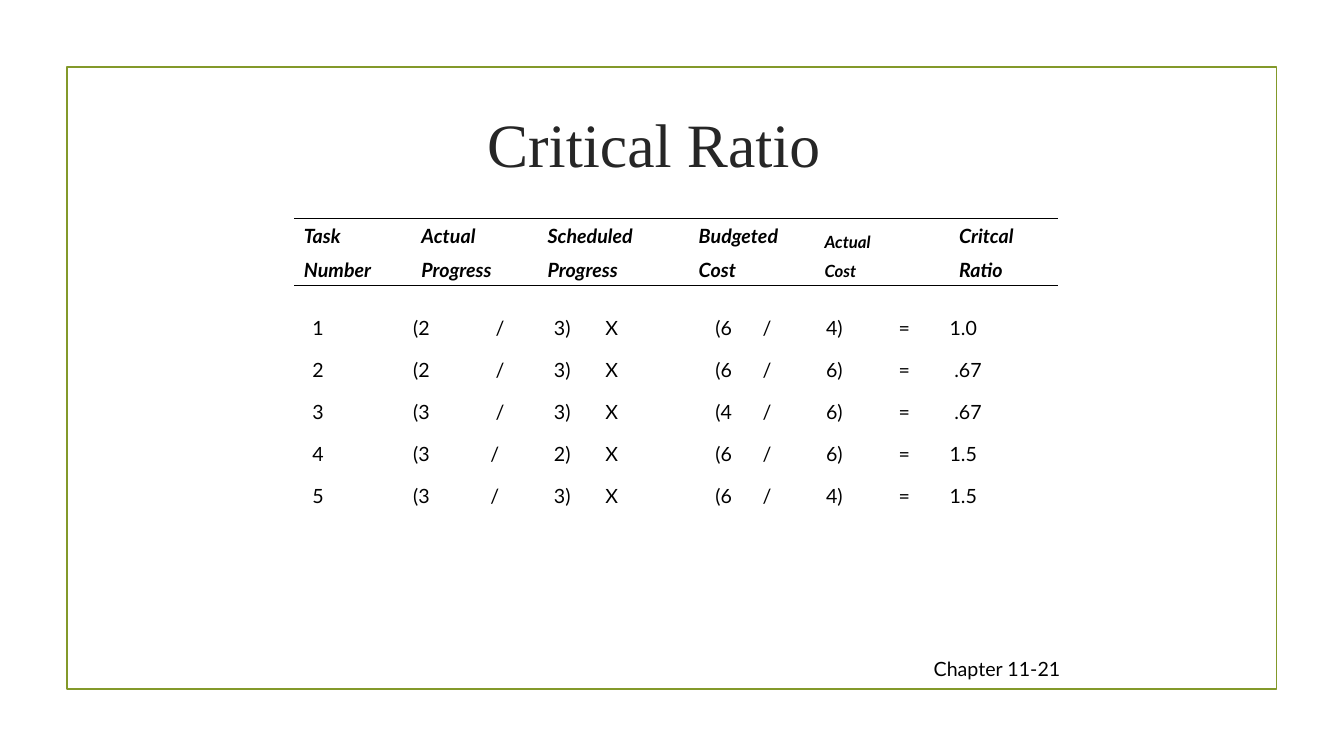
import pptx
import pptx.dml.color
import pptx.enum.shapes
import pptx.enum.text
import pptx.util
from lxml import etree
from pptx.util import Cm, Pt

# Content
TITLE = "Critical Ratio"
PAGE_LABEL = "Chapter 11-21"
# heading lines, left, top, width (cm), size (pt)
HEADINGS = [
    (("Task", "Number"), 7.41, 5.51, 2.75, 14),
    (("Actual", "Progress"), 10.37, 5.51, 2.75, 14),
    (("Scheduled", "Progress"), 13.55, 5.51, 3.39, 14),
    (("Budgeted", "Cost"), 17.36, 5.51, 3.39, 14),
    (("Actual", "Cost"), 20.53, 5.72, 2.75, 12),
    (("Critcal", "Ratio"), 23.92, 5.51, 2.75, 14),
]
# task, actual and scheduled progress, budgeted and actual cost, ratio
TASKS = [
    ("1", "2", "3", "6", "4", "1.0"),
    ("2", "2", "3", "6", "6", ".67"),
    ("3", "3", "3", "4", "6", ".67"),
    ("4", "3", "2", "6", "6", "1.5"),
    ("5", "3", "3", "6", "4", "1.5"),
]
COLORS = {"frame": "83992A", "title": "262626", "ink": "000000"}

# Layout (cm)
RULE_LEFT, RULE_RIGHT = 7.41, 26.67
RULE_TOPS = (5.51, 7.2)
ROW_LEFT, ROW_TOP, ROW_STEP, ROW_WIDTH, LINE_HEIGHT = 7.62, 7.83, 1.06, 19.05, 0.85
TAB_STOPS = [2.54, 4.62, 6.09, 7.39, 10.16, 11.35, 12.95, 14.78, 16.06]
SLASH_TAB, RATIO_TAB = 1, 8


def rgb(name):
    return pptx.dml.color.RGBColor.from_string(COLORS[name])


def write(frame, lines, size=14, font="Lato", color="ink", emphasis=False,
          align=None, tabs=()):
    frame.word_wrap = True
    for index, line in enumerate(lines):
        paragraph = frame.paragraphs[0] if index == 0 else frame.add_paragraph()
        paragraph.text = line
        if align is not None:
            paragraph.alignment = align
        if index:
            paragraph.space_before = Pt(size * 0.53)
        if tabs:
            tab_list = etree.SubElement(paragraph._p.get_or_add_pPr(),
                                        pptx.oxml.ns.qn("a:tabLst"))
            for stop in tabs:
                etree.SubElement(tab_list, pptx.oxml.ns.qn("a:tab"),
                                 pos=str(Cm(stop)), algn="l")
        paragraph.font.size = Pt(size)
        paragraph.font.name = font
        paragraph.font.color.rgb = rgb(color)
        paragraph.font.bold = paragraph.font.italic = emphasis


def add_text(slide, lines, left, top, width, height=LINE_HEIGHT, **style):
    frame = slide.shapes.add_textbox(Cm(left), Cm(top), Cm(width), Cm(height)).text_frame
    write(frame, lines, **style)
    frame.auto_size = pptx.enum.text.MSO_AUTO_SIZE.SHAPE_TO_FIT_TEXT


def main():
    deck = pptx.Presentation()
    deck.slide_width, deck.slide_height = Cm(33.87), Cm(19.05)
    slide = deck.slides.add_slide(deck.slide_layouts[5])

    # Frame
    border = slide.shapes.add_shape(pptx.enum.shapes.MSO_SHAPE.RECTANGLE,
                                    Cm(1.69), Cm(1.69), Cm(30.48), Cm(15.68))
    border.shadow.inherit = False
    border.fill.background()
    border.line.color.rgb = rgb("frame")
    border.line.width = Pt(1.25)

    # Title and page label
    title = slide.shapes.title
    title.left, title.top, title.width, title.height = Cm(3.15), Cm(1.78), Cm(26.67), Cm(3.63)
    title.text_frame.vertical_anchor = pptx.enum.text.MSO_ANCHOR.MIDDLE
    write(title.text_frame, [TITLE], size=44, font="Times New Roman", color="title",
          align=pptx.enum.text.PP_ALIGN.CENTER)
    add_text(slide, [PAGE_LABEL], 23.28, 16.43, 5.72)

    # Heading rules
    for top in RULE_TOPS:
        rule = slide.shapes.add_connector(pptx.enum.shapes.MSO_CONNECTOR.STRAIGHT,
                                          Cm(RULE_LEFT), Cm(top), Cm(RULE_RIGHT), Cm(top))
        rule.line.color.rgb = rgb("ink")
        rule.line.width = Pt(0.75)
        etree.SubElement(rule._element.spPr, pptx.oxml.ns.qn("a:effectLst"))

    # Headings
    for lines, left, top, width, size in HEADINGS:
        add_text(slide, lines, left, top, width, 1.75, size=size, emphasis=True)

    # Task formulas
    for index, (task, actual, scheduled, budget, cost, ratio) in enumerate(TASKS):
        tabs = list(TAB_STOPS)
        if index >= 3:
            tabs[SLASH_TAB] -= 0.13
        if ratio.startswith("."):
            tabs[RATIO_TAB] += 0.12
        formula = "\t".join([task, f"({actual}", "/", f"{scheduled})", "X",
                             f"({budget}", "/", f"{cost})", "=", ratio])
        add_text(slide, [formula], ROW_LEFT, ROW_TOP + index * ROW_STEP, ROW_WIDTH, tabs=tabs)

    deck.save("out.pptx")


if __name__ == "__main__":
    main()
